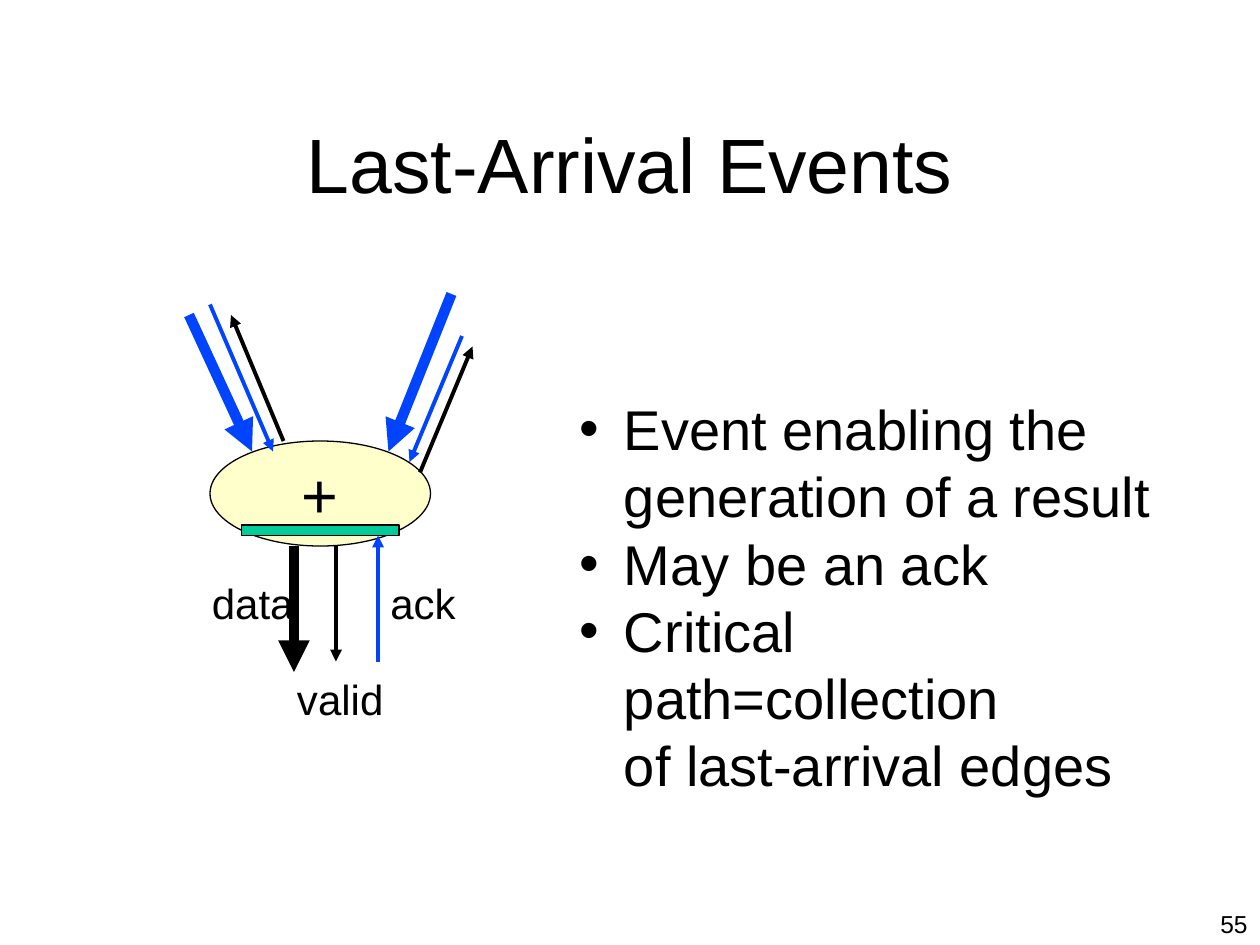
from lxml import etree
from pptx import Presentation
from pptx.dml.color import RGBColor
from pptx.enum.shapes import MSO_CONNECTOR, MSO_SHAPE
from pptx.enum.text import MSO_ANCHOR, PP_ALIGN
from pptx.oxml.ns import qn
from pptx.util import Pt

STRAIGHT = MSO_CONNECTOR.STRAIGHT
ELLIPSE, RECTANGLE = MSO_SHAPE.OVAL, MSO_SHAPE.RECTANGLE
TOP, MIDDLE = MSO_ANCHOR.TOP, MSO_ANCHOR.MIDDLE
LEFT, CENTER, RIGHT = PP_ALIGN.LEFT, PP_ALIGN.CENTER, PP_ALIGN.RIGHT

BLACK = RGBColor(0x00, 0x00, 0x00)
BLUE = RGBColor(0x01, 0x44, 0xFF)
CREAM = RGBColor(0xFF, 0xFF, 0xCC)
GREEN = RGBColor(0x00, 0xCC, 0x99)
THICK, THIN = 6, 2.25
BULLET_INDENT = Pt(25.5)


def write(frame, text, size, align=LEFT, anchor=TOP, wrap=True, bullet=None):
    frame.word_wrap = wrap
    frame.vertical_anchor = anchor
    frame.text = text
    for paragraph in frame.paragraphs:
        paragraph.alignment = align
        if bullet:
            properties = paragraph._p.get_or_add_pPr()
            properties.set("marL", str(BULLET_INDENT))
            properties.set("indent", str(-BULLET_INDENT))
            etree.SubElement(properties, qn("a:buFont"), typeface="Arial")
            etree.SubElement(properties, qn("a:buChar"), char=bullet)
        for run in paragraph.runs:
            run.font.name = "Arial"
            run.font.size = Pt(size)
            run.font.color.rgb = BLACK


def draw_arrow(start, end, color, width):
    arrow = slide.shapes.add_connector(STRAIGHT, *map(Pt, start + end))
    arrow.line.color.rgb = color
    arrow.line.width = Pt(width)
    etree.SubElement(arrow.line._get_or_add_ln(), qn("a:tailEnd"), type="triangle")
    etree.SubElement(arrow._element.spPr, qn("a:effectLst"))


presentation = Presentation()
presentation.slide_width, presentation.slide_height = Pt(720), Pt(540)
slide = presentation.slides.add_slide(presentation.slide_layouts[5])

title = slide.shapes.title
title.left, title.top, title.width, title.height = Pt(54), Pt(48), Pt(612), Pt(90)
write(title.text_frame, "Last-Arrival Events", 44, align=CENTER, anchor=MIDDLE)

draw_arrow((168, 312), (168, 384), BLACK, THICK)
draw_arrow((192, 312), (192, 378), BLACK, THIN)

nodes = []
for kind, bounds, color in (
    (ELLIPSE, (120, 252, 126, 60), CREAM),
    (RECTANGLE, (138, 300, 90, 6), GREEN),
):
    node = slide.shapes.add_shape(kind, *map(Pt, bounds))
    node.shadow.inherit = False
    node.fill.solid()
    node.fill.fore_color.rgb = color
    node.line.color.rgb = BLACK
    node.line.width = Pt(0.75)
    nodes.append(node)
adder, latch = nodes
write(adder.text_frame, "+", 36, align=CENTER, anchor=MIDDLE, wrap=False)

for start, end, color, width in (
    ((216, 378), (216, 306), BLUE, THIN),
    ((240, 270), (270, 198), BLACK, THIN),
    ((258, 168), (222, 258), BLUE, THICK),
    ((264, 192), (234, 264), BLUE, THIN),
    ((162, 252), (132, 180), BLACK, THIN),
    ((108, 180), (144, 258), BLUE, THICK),
    ((120, 174), (156, 258), BLUE, THIN),
):
    draw_arrow(start, end, color, width)

events = "\n".join((
    "Event enabling the\vgeneration of a result",
    "May be an ack",
    "Critical path=collection\vof last-arrival edges",
))
for text, bounds, style in (
    ("data", (114, 326.5, 66, 36), {"size": 24, "wrap": False}),
    ("valid", (158.4, 381.5, 72, 36), {"size": 24, "align": CENTER, "wrap": False}),
    ("ack", (216, 326.5, 60, 36), {"size": 24, "wrap": False}),
    (events, (324, 222, 355.7, 199.5), {"size": 32, "bullet": "•"}),
    ("55", (684, 516, 36, 24), {"size": 14, "align": RIGHT}),
):
    label = slide.shapes.add_textbox(*map(Pt, bounds))
    write(label.text_frame, text, **style)

presentation.save("out.pptx")
